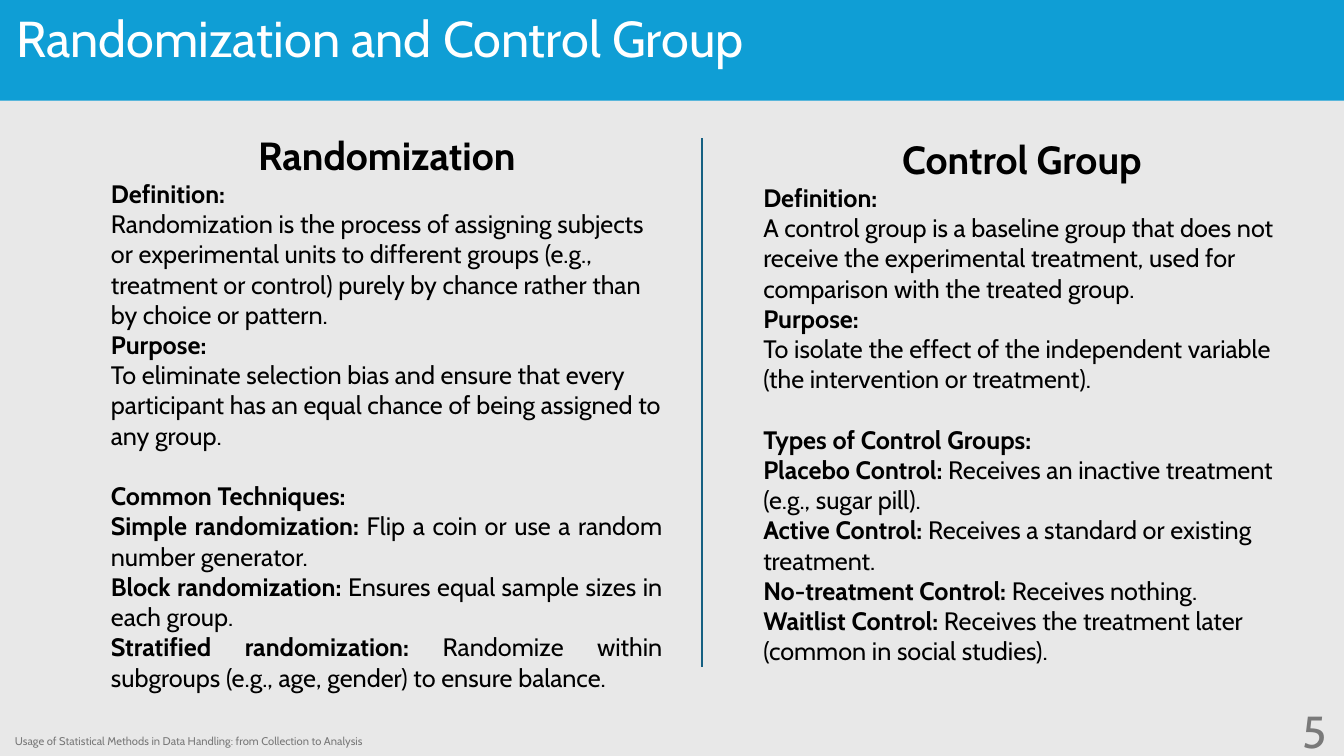
from pptx import Presentation
from pptx.dml.color import RGBColor
from pptx.enum.shapes import MSO_CONNECTOR as CONN, MSO_SHAPE as SHAPE
from pptx.enum.text import MSO_ANCHOR as ANCHOR, MSO_AUTO_SIZE as AUTO, PP_ALIGN as ALIGN
from pptx.oxml.ns import qn
from pptx.util import Inches, Pt
from lxml.etree import SubElement

TITLE = "Randomization and Control Group"
FOOTER = "Usage of Statistical Methods in Data Handling: from Collection to Analysis"
NUMBER = "5"

COLUMNS = [
    {
        "box": (1, 1.25, 5.67, 6.02),
        "heading": "Randomization",
        "sections": [
            ("Definition:", "Randomization is the process of assigning subjects or experimental "
             "units to different groups (e.g., treatment or control) purely by chance rather "
             "than by choice or pattern."),
            ("Purpose:", "To eliminate selection bias and ensure that every participant has an "
             "equal chance of being assigned to any group."),
        ],
        "list_title": "Common Techniques:",
        "list_align": ALIGN.JUSTIFY,
        "items": [
            ("Simple randomization:", "Flip a coin or use a random number generator."),
            ("Block randomization:", "Ensures equal sample sizes in each group."),
            ("Stratified randomization:", "Randomize within subgroups (e.g., age, gender) to "
             "ensure balance."),
        ],
    },
    {
        "box": (7.47, 1.29, 5.33, 5.49),
        "heading": "Control Group",
        "sections": [
            ("Definition:", "A control group is a baseline group that does not receive the "
             "experimental treatment, used for comparison with the treated group."),
            ("Purpose:", "To isolate the effect of the independent variable (the intervention "
             "or treatment)."),
        ],
        "list_title": "Types of Control Groups:",
        "list_align": ALIGN.LEFT,
        "items": [
            ("Placebo Control:", "Receives an inactive treatment (e.g., sugar pill)."),
            ("Active Control:", "Receives a standard or existing treatment."),
            ("No-treatment Control:", "Receives nothing."),
            ("Waitlist Control:", "Receives the treatment later (common in social studies)."),
        ],
    },
]

FONT = "Cabin"
BACKGROUND = RGBColor(0xE8, 0xE8, 0xE8)
BANNER = RGBColor(0x0F, 0x9E, 0xD5)
DIVIDER = RGBColor(0x15, 0x60, 0x82)
WHITE = RGBColor(0xFF, 0xFF, 0xFF)
BLACK = RGBColor(0, 0, 0)
GREY = RGBColor(0x79, 0x79, 0x79)

HEADING_SIZE, BODY_SIZE, LIST_GAP = 28, 18, 21.6


def place(sp, box):
    sp.left, sp.top, sp.width, sp.height = [Inches(v) for v in box]


def style(r, size, color, bold=False):
    r.font.name, r.font.size, r.font.bold = FONT, Pt(size), bold
    r.font.color.rgb = color


def format_frame(tf, anchor):
    tf.word_wrap = True
    tf.auto_size = AUTO.NONE
    tf.vertical_anchor = anchor


def add_body_line(tf, lead, rest="", size=BODY_SIZE, align=ALIGN.LEFT, before=0, first=False):
    p = tf.paragraphs[0] if first else tf.add_paragraph()
    p.text = lead
    if rest:
        p.add_run().text = rest
    p.alignment = align
    p.space_before, p.space_after = Pt(before), Pt(0)
    pPr = p._p.get_or_add_pPr()
    pPr.set("marL", "0")
    pPr.set("indent", "0")
    SubElement(pPr, qn("a:buNone"))
    for br in p._p.findall(qn("a:br")):
        SubElement(br, qn("a:rPr")).set("sz", str(size * 100))
    for i, r in enumerate(p.runs):
        style(r, size, BLACK, bold=i == 0)


def fill_column(sp, column):
    place(sp, column["box"])
    tf = sp.text_frame
    format_frame(tf, ANCHOR.TOP)
    add_body_line(tf, column["heading"], size=HEADING_SIZE, align=ALIGN.CENTER, first=True)
    for lead, rest in column["sections"]:
        add_body_line(tf, lead + "\v" + rest)
    add_body_line(tf, column["list_title"], before=LIST_GAP)
    for lead, rest in column["items"]:
        add_body_line(tf, lead, " " + rest, align=column["list_align"])


def add_label(slide, text, box, size, align):
    sp = slide.shapes.add_textbox(*[Inches(v) for v in box])
    tf = sp.text_frame
    tf.text = text
    format_frame(tf, ANCHOR.MIDDLE)
    p = tf.paragraphs[0]
    p.alignment = align
    style(p.runs[0], size, GREY)


def add_banner(slide, width):
    sp = slide.shapes.add_shape(SHAPE.RECTANGLE, 0, 0, width, Inches(1))
    sp.fill.solid()
    sp.fill.fore_color.rgb = BANNER
    sp.line.fill.background()
    sp.shadow.inherit = False
    title = slide.shapes.title
    title._element.addprevious(sp._element)
    place(title, (0.06, 0.09, 8.66, 0.84))
    tf = title.text_frame
    tf.text = TITLE
    format_frame(tf, ANCHOR.TOP)
    p = tf.paragraphs[0]
    p.alignment, p.line_spacing = ALIGN.LEFT, 0.9
    style(p.runs[0], 36, WHITE)


def add_divider(slide):
    x, top, bottom = [Inches(v) for v in (6.96, 1.37, 6.62)]
    line = slide.shapes.add_connector(CONN.STRAIGHT, x, top, x, bottom)
    line.line.color.rgb = DIVIDER
    line.line.width = Pt(1.5)
    SubElement(line._element.spPr, qn("a:effectLst"))


def main():
    prs = Presentation()
    prs.slide_width, prs.slide_height = Inches(13.33), Inches(7.5)
    slide = prs.slides.add_slide(prs.slide_layouts[3])
    slide.background.fill.solid()
    slide.background.fill.fore_color.rgb = BACKGROUND
    add_banner(slide, prs.slide_width)
    for index, column in enumerate(COLUMNS, 1):
        fill_column(slide.placeholders[index], column)
    add_divider(slide)
    add_label(slide, FOOTER, (0.05, 7.23, 8, 0.25), 8, ALIGN.LEFT)
    add_label(slide, NUMBER, (10.26, 7.05, 3, 0.4), 32, ALIGN.RIGHT)
    prs.save("out.pptx")


if __name__ == "__main__":
    main()
